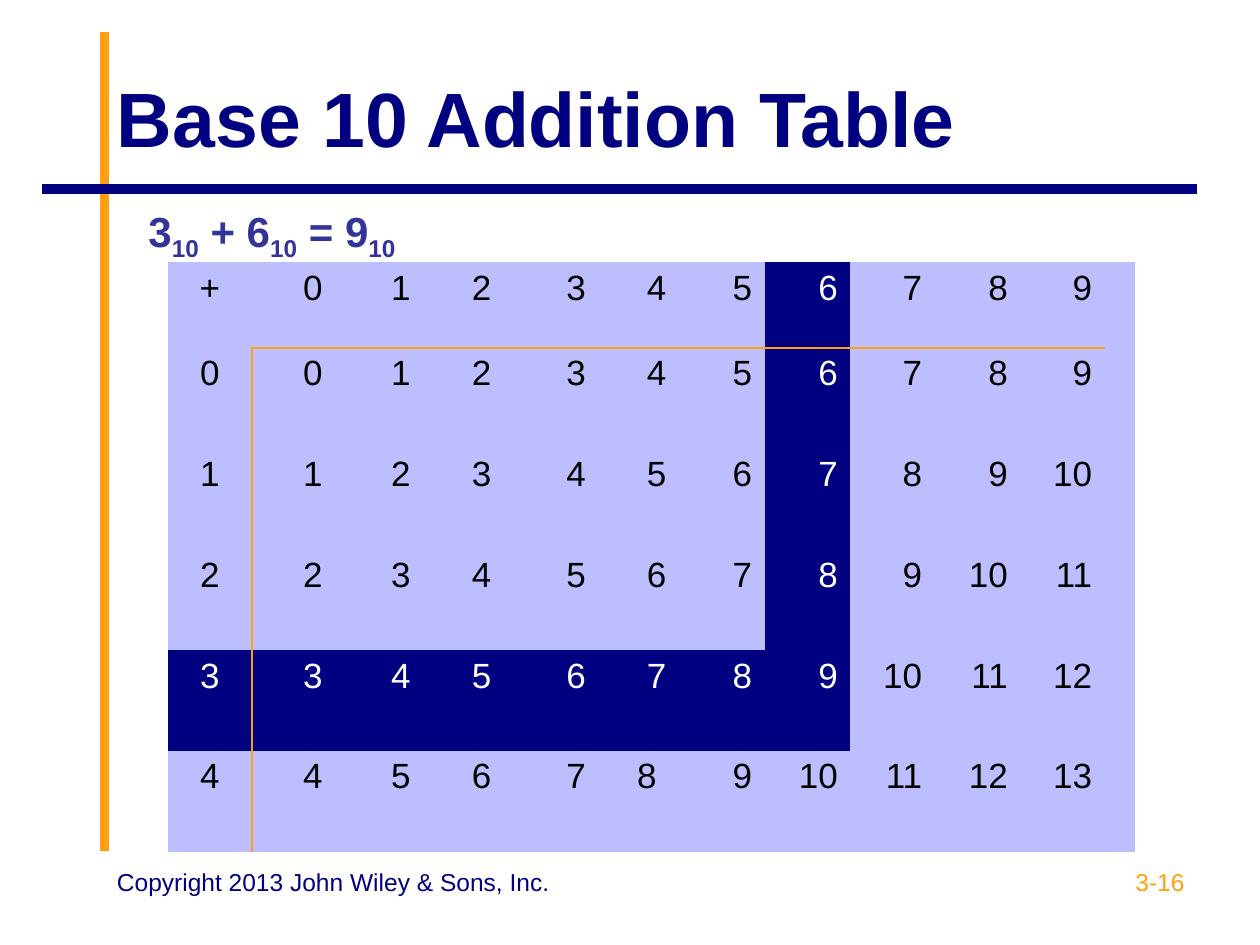
from dataclasses import dataclass

from pptx import Presentation
from pptx.dml.color import RGBColor as RGB
from pptx.enum.shapes import MSO_CONNECTOR as Connector
from pptx.enum.text import MSO_ANCHOR as Anchor, PP_ALIGN as Align
from pptx.oxml.ns import qn
from pptx.util import Inches, Pt
from lxml.etree import SubElement


@dataclass(frozen=True)
class Theme:
    font: str = "Arial"
    navy: str = "000080"
    indigo: str = "333399"
    orange: str = "FF9F11"
    lavender: str = "BDBEFF"
    white: str = "FFFFFF"
    black: str = "000000"
    title: int = 44
    equation: int = 24
    cell: int = 20
    footer: int = 14
    bar: float = 5.5
    rule: float = 1.47


class SlideBuilder:
    def __init__(self, slide, theme):
        self.s = slide
        self.t = theme

    def line(self, x1, y1, x2, y2, color):
        c = self.s.shapes.add_connector(
            Connector.STRAIGHT, Inches(x1), Inches(y1), Inches(x2), Inches(y2))
        c.line.color.rgb = RGB.from_string(color)
        c.line.width = Pt(self.t.bar)
        SubElement(c._element.spPr, qn("a:effectLst"))

    def run(self, p, text, size, color, bold=False, subscript=False):
        r = p.add_run()
        r.text = text
        formats = {"name": self.t.font, "size": Pt(size), "bold": bold}
        for name, value in formats.items():
            setattr(r.font, name, value)
        r.font.color.rgb = RGB.from_string(color)
        if subscript:
            r._r.get_or_add_rPr().set("baseline", "-25000")

    def text(self, box, parts, size, color, bold=False,
             align=Align.LEFT, anchor=Anchor.TOP):
        """Add a text box; every second part is set as a subscript."""
        sp = self.s.shapes.add_textbox(*map(Inches, box))
        tf = sp.text_frame
        tf.word_wrap = True
        tf.vertical_anchor = anchor
        p = tf.paragraphs[0]
        p.alignment = align
        for i, part in enumerate(parts):
            self.run(p, part, size, color, bold, subscript=i % 2 == 1)

    def borders(self, cell, ruled):
        """Rule the sides named in ruled and clear the others."""
        tc_pr = cell._tc.get_or_add_tcPr()
        for side in "LRTB":
            ln = SubElement(tc_pr, qn(f"a:ln{side}"), w=str(Pt(self.t.rule)))
            if side in ruled:
                fill = SubElement(ln, qn("a:solidFill"))
                SubElement(fill, qn("a:srgbClr"), val=self.t.orange)
            else:
                SubElement(ln, qn("a:noFill"))

    def cell(self, cell, text, align, highlighted, ruled):
        self.borders(cell, ruled)
        cell.fill.solid()
        cell.fill.fore_color.rgb = RGB.from_string(
            self.t.navy if highlighted else self.t.lavender)
        if text:
            p = cell.text_frame.paragraphs[0]
            p.alignment = align
            color = self.t.white if highlighted else self.t.black
            self.run(p, text, self.t.cell, color)

    def addition_table(self, box, widths, heights, addends):
        """Fill sums by rule and highlight the path to the sum of addends."""
        table = self.s.shapes.add_table(
            len(heights), len(widths), *map(Inches, box)).table
        table.first_row = table.horz_banding = False
        for column, width in zip(table.columns, widths):
            column.width = Inches(width)
        for row, height in zip(table.rows, heights):
            row.height = Inches(height)

        spare = len(widths) - 1
        hit_row, hit_col = (n + 1 for n in addends)
        for i in range(len(heights)):
            for j in range(len(widths)):
                highlighted = ((i == hit_row and j <= hit_col)
                               or (j == hit_col and i <= hit_row))
                ruled = ""
                if 0 < j < spare:
                    ruled += {0: "B", 1: "T"}.get(i, "")
                if i > 0:
                    ruled += {0: "R", 1: "L"}.get(j, "")
                align = Align.RIGHT if j else Align.CENTER
                text = "" if j == spare else sum_label(i, j)
                self.cell(table.cell(i, j), text, align, highlighted, ruled)


def sum_label(i, j):
    if i == j == 0:
        return "+"
    if (i, j) == (5, 5):
        return "8 "
    return str(max(i - 1, 0) + max(j - 1, 0))


def main():
    prs = Presentation()
    prs.slide_width, prs.slide_height = Inches(10), Inches(7.5)
    t = Theme()
    b = SlideBuilder(prs.slides.add_slide(prs.slide_layouts[6]), t)

    b.line(0.83, 6.75, 0.83, 0.25, t.orange)
    b.line(9.5, 1.5, 0.33, 1.5, t.navy)
    b.text((0.83, 0.3, 8.67, 1.25), ["Base 10 Addition Table"],
           t.title, t.navy, bold=True, anchor=Anchor.MIDDLE)
    b.addition_table(
        (1.33, 2.08, 7.67, 4.68),
        widths=[0.67, 0.66, 0.7, 0.64, 0.75, 0.64,
                0.68, 0.68, 0.67, 0.68, 0.67, 0.24],
        heights=[0.68] + [0.8] * 5,
        addends=(3, 6))
    b.text((1.08, 1.58, 2.58, 0.56), ["3", "10", " + 6", "10", " = 9", "10"],
           t.equation, t.indigo, bold=True)
    b.text((7.17, 6.83, 2.33, 0.52), ["3-16"],
           t.footer, t.orange, align=Align.RIGHT)
    b.text((0.83, 6.83, 3.67, 0.52),
           ["Copyright 2013 John Wiley & Sons, Inc."], t.footer, t.navy)
    prs.save("out.pptx")


if __name__ == "__main__":
    main()
